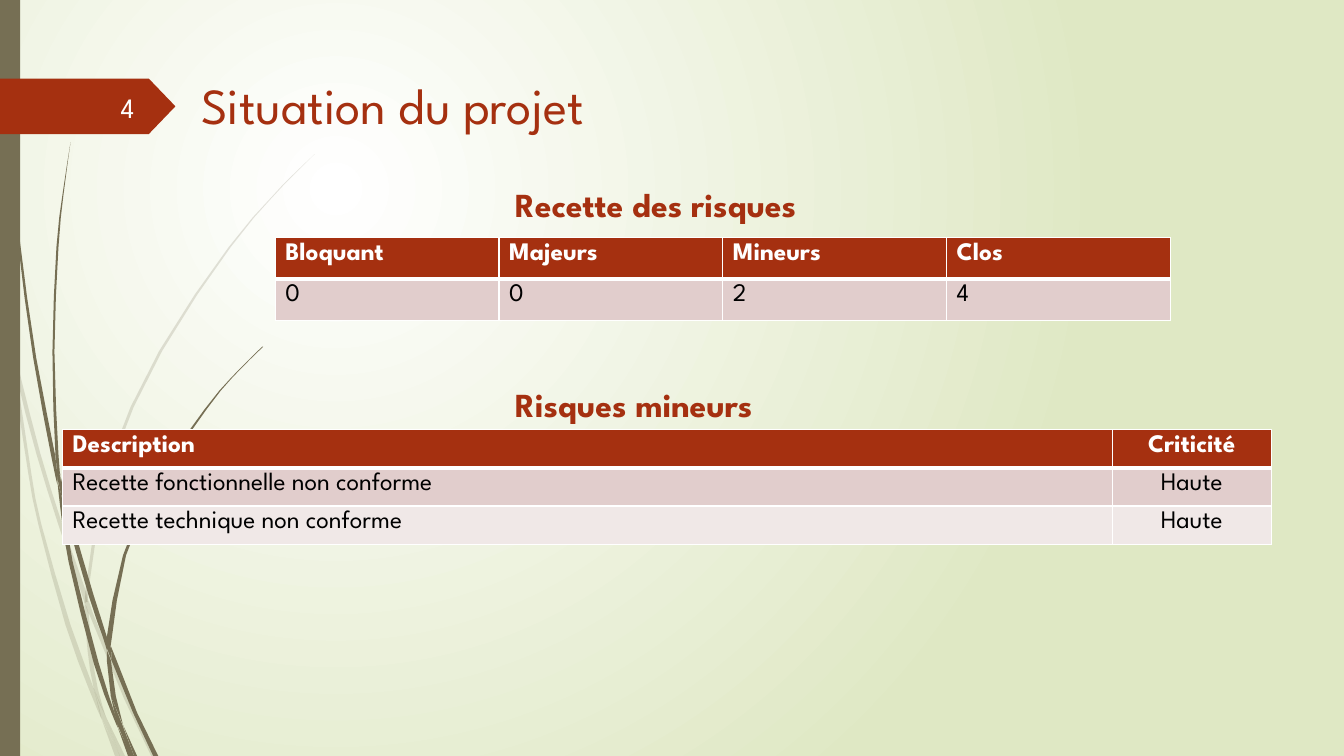
from lxml.etree import SubElement
from pptx import Presentation
from pptx.dml.color import RGBColor
from pptx.enum.shapes import MSO_SHAPE
from pptx.enum.text import MSO_ANCHOR, PP_ALIGN
from pptx.oxml.ns import qn
from pptx.util import Inches, Pt

FONT = "League Spartan"
RUST, OLIVE, WHITE, BLACK = "A53010", "766F54", "FFFFFF", "000000"
BANDS = ["E1CDCC", "F0E8E7"]
COLUMNS, ROWS = 13.33, 7.5

PALE_BLADES = [
    [(2.82, 0, 0), (2.99, 0, 0.04), (3.22, 0.05, 0.09), (3.5, 0.11, 0.11)],
    [(3.45, 0.14, 0.14), (3.76, 0.17, 0.21), (4.5, 0.36, 0.4), (5.21, 0.58, 0.62),
     (5.86, 0.8, 0.85), (5.99, 0.84, 0.84)],
    [(5.96, 0.88, 0.88), (6.08, 0.88, 0.92), (6.93, 1.23, 1.27), (7.5, 1.5, 1.55)],
    [(7.11, 1.05, 1.05), (7.5, 1.19, 1.24)],
    [(3.5, 0.11, 0.11), (3.76, 0.14, 0.17), (4.69, 0.28, 0.31), (5.2, 0.38, 0.41),
     (6.2, 0.65, 0.7), (6.83, 0.88, 0.93), (7.14, 1.01, 1.01)],
    [(5.99, 0.84, 0.84), (6.09, 0.84, 0.88), (6.46, 0.87, 0.91), (6.83, 0.93, 0.97),
     (7.11, 1.05, 1.05)],
    [(1.53, 3.12, 3.12), (1.75, 2.89, 2.9), (1.97, 2.68, 2.69), (2.45, 2.27, 2.29),
     (3.48, 1.58, 1.61), (4.62, 1.07, 1.1), (5.84, 0.85, 0.88), (5.96, 0.88, 0.88)],
    [(7.14, 1.01, 1.01), (7.5, 1.14, 1.19)],
    [(5.86, 0.85, 0.85), (5.98, 0.84, 0.88), (6.1, 0.88, 0.88)],
    [(6.83, 0.93, 0.93), (7.11, 1, 1.05), (7.5, 1.19, 1.19)],
]
DARK_BLADES = [
    [(0, 0.03, 0.04), (1.1, 0.07, 0.08), (2.33, 0.17, 0.19), (3.55, 0.33, 0.36),
     (4.53, 0.51, 0.55), (4.81, 0.57, 0.57)],
    [(4.72, 0.6, 0.6), (5.05, 0.64, 0.68), (5.91, 0.88, 0.93), (6.32, 1.02, 1.06),
     (6.45, 1.06, 1.06)],
    [(6.41, 1.1, 1.1), (6.56, 1.11, 1.16), (7.07, 1.32, 1.36), (7.5, 1.52, 1.57)],
    [(4.77, 0.57, 0.57), (5.05, 0.6, 0.64), (5.57, 0.68, 0.72), (6.58, 0.93, 0.98),
     (7.08, 1.11, 1.14), (7.22, 1.17, 1.17)],
    [(1.41, 0.7, 0.7), (1.93, 0.62, 0.63), (2.45, 0.56, 0.58), (3.49, 0.52, 0.54),
     (4.51, 0.55, 0.58), (4.72, 0.6, 0.6)],
    [(7.19, 1.22, 1.22), (7.5, 1.33, 1.36)],
    [(4.49, 0.55, 0.55), (4.75, 0.57, 0.6), (5.05, 0.64, 0.64)],
    [(3.44, 2.6, 2.61), (3.74, 2.3, 2.31), (4.06, 2.03, 2.05), (4.75, 1.56, 1.59),
     (5.51, 1.22, 1.25), (6.32, 1.06, 1.11), (6.41, 1.1, 1.1)],
    [(7.22, 1.17, 1.17), (7.5, 1.27, 1.31)],
    [(6.45, 1.06, 1.06), (6.55, 1.06, 1.1), (6.91, 1.1, 1.15), (7.19, 1.22, 1.22)],
    [(6.31, 1.06, 1.06), (6.43, 1.06, 1.1), (6.56, 1.11, 1.11)],
    [(6.91, 1.1, 1.1), (7.18, 1.16, 1.21), (7.5, 1.3, 1.33)],
]


def color(code):
    """Turn a hex string into a colour."""
    return RGBColor.from_string(code)


def grid(*cells):
    """Turn counts of one-inch grid cells into lengths."""
    return [Inches(cell) for cell in cells]


def paint(shape, code, opacity=100):
    """Give a shape a plain fill without line or shadow."""
    shape.shadow.inherit = False
    shape.line.fill.background()
    shape.fill.solid()
    shape.fill.fore_color.rgb = color(code)
    if opacity < 100:
        tint = shape._element.spPr.find(".//" + qn("a:srgbClr"))
        SubElement(tint, qn("a:alpha"), val=str(opacity * 1000))


def add_background(page):
    """Fill the page with a glow around its upper left quarter."""
    fill = page.background.fill
    fill.gradient()
    for stop, code in zip(fill.gradient_stops, [WHITE, "DFE8C4"]):
        stop.color.rgb = color(code)
    gradient = page._element.find(".//" + qn("a:gradFill"))
    gradient.remove(gradient.find(qn("a:lin")))
    circle = SubElement(gradient, qn("a:path"), path="circle")
    SubElement(circle, qn("a:fillToRect"), l="50000", t="50000", r="100000", b="100000")


def smooth(knots, steps=2):
    """Run a Catmull-Rom curve through the knots."""
    padded = [knots[0], *knots, knots[-1]]
    curve = []
    for a, b, c, d in zip(padded, padded[1:], padded[2:], padded[3:]):
        for step in range(steps):
            t = step / steps
            curve.append([
                q + t * (r - p + t * (2 * p - 5 * q + 4 * r - s + t * (3 * (q - r) + s - p))) / 2
                for p, q, r, s in zip(a, b, c, d)])
    return curve + [knots[-1]]


def add_blade(page, knots, opacity):
    """Draw a grass blade from its left and right edges at each height."""
    curve = smooth(knots) if len(knots) > 4 else knots
    outline = [grid(left, y) for y, left, right in curve]
    outline += [grid(right, y) for y, left, right in reversed(curve) if right > left]
    builder = page.shapes.build_freeform(*outline[0])
    builder.add_line_segments(outline[1:], close=True)
    paint(builder.convert_to_shape(), OLIVE, opacity)


def add_block(page, kind, place, code):
    """Add a plain preset shape."""
    block = page.shapes.add_shape(kind, *grid(*place))
    paint(block, code)
    return block


def write(frame, text, size, code, bold=False, align=PP_ALIGN.LEFT):
    """Put one styled paragraph in a text frame."""
    frame.word_wrap = True
    para = frame.paragraphs[0]
    para.text = text
    para.alignment = align
    para.font.name, para.font.size, para.font.bold = FONT, Pt(size), bold
    para.font.color.rgb = color(code)


def add_text(page, place, *style, anchor=MSO_ANCHOR.TOP, **options):
    """Add a text box with one paragraph."""
    frame = page.shapes.add_textbox(*grid(*place)).text_frame
    frame.vertical_anchor = anchor
    write(frame, *style, **options)


def add_borders(cell, widths):
    """Draw white cell borders, in order left, right, top, bottom."""
    properties = cell._tc.get_or_add_tcPr()
    for index, (side, width) in enumerate(zip("LRTB", widths)):
        line = SubElement(properties, qn("a:ln" + side), w=str(Pt(width)))
        SubElement(SubElement(line, qn("a:solidFill")), qn("a:srgbClr"), val=WHITE)
        properties.insert(index, line)


def add_grid_table(page, corner, widths, height, rows, aligns):
    """Add a table with a rust header and banded rows."""
    place = grid(*corner, sum(widths), height * len(rows))
    table = page.shapes.add_table(len(rows), len(widths), *place).table
    for column, width in zip(table.columns, widths):
        column.width = Inches(width)
    for r, texts in enumerate(rows):
        table.rows[r].height = Inches(height)
        header = r == 0
        for c, text in enumerate(texts):
            cell = table.cell(r, c)
            cell.margin_bottom = Inches(0.02)
            cell.fill.solid()
            cell.fill.fore_color.rgb = color(RUST if header else BANDS[(r - 1) % 2])
            add_borders(cell, [1, 1, 3 if r == 1 else 1, 3 if header else 1])
            write(cell.text_frame, text, 18, WHITE if header else BLACK, header, aligns[c])


def main():
    """Build the project status slide."""
    deck = Presentation()
    deck.slide_width, deck.slide_height = grid(COLUMNS, ROWS)
    page = deck.slides.add_slide(deck.slide_layouts[6])
    add_background(page)
    for blades, opacity in [(PALE_BLADES, 20), (DARK_BLADES, 100)]:
        for knots in blades:
            add_blade(page, knots, opacity)
    add_block(page, MSO_SHAPE.RECTANGLE, (0, 0, 0.2, ROWS), OLIVE)
    tag = add_block(page, MSO_SHAPE.PENTAGON, (0, 0.78, 1.74, 0.55), RUST)
    tag.adjustments[0] = 0.48
    add_text(page, (1.9, 0.69, 9.75, 0.81), "Situation du projet", 36, RUST)
    add_grid_table(page, (0.62, 4.26), [10.41, 1.58], 0.38, [
        ["Description", "Criticité"],
        ["Recette fonctionnelle non conforme", "Haute"],
        ["Recette technique non conforme", "Haute"],
    ], [PP_ALIGN.LEFT, PP_ALIGN.CENTER])
    add_grid_table(page, (2.73, 2.36), [2.22] * 4, 0.41, [
        ["Bloquant", "Majeurs", "Mineurs", "Clos"],
        ["0", "0", "2", "4"],
    ], [PP_ALIGN.LEFT] * 4)
    for top, width, heading in [(1.78, 3.53, "Recette des risques"),
                                (3.76, 3.07, "Risques mineurs")]:
        add_text(page, (5.01, top, width, 0.5), heading, 24, RUST, bold=True)
    add_text(page, (0.58, 0.86, 0.85, 0.4), "4", 20, "FEFFFF",
             align=PP_ALIGN.RIGHT, anchor=MSO_ANCHOR.MIDDLE)
    deck.save("out.pptx")


main()
